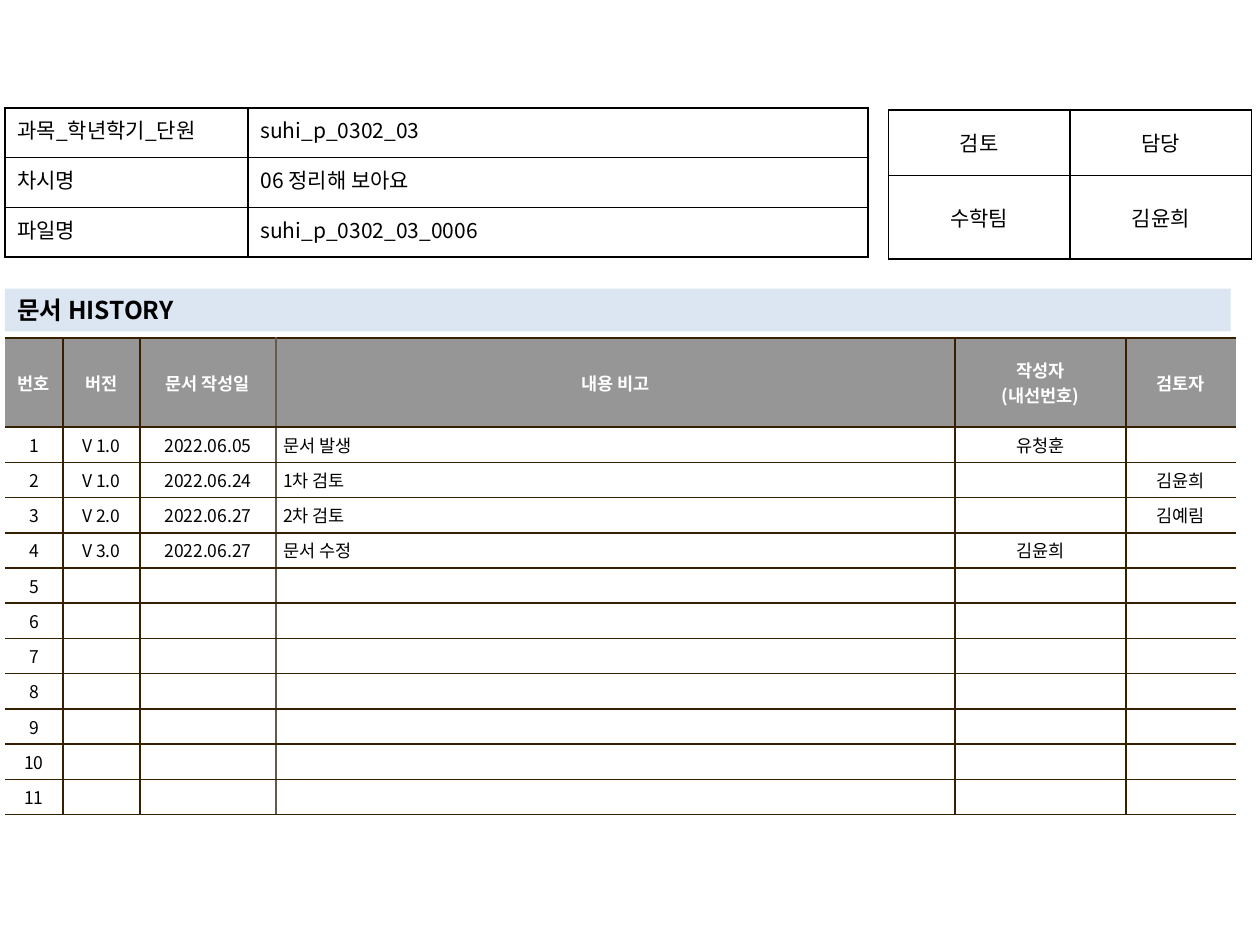
from lxml import etree
from pptx import Presentation
from pptx.dml.color import RGBColor
from pptx.enum.shapes import MSO_SHAPE
from pptx.enum.text import MSO_ANCHOR, PP_ALIGN
from pptx.oxml.ns import qn
from pptx.util import Cm, Pt

RECTANGLE = MSO_SHAPE.RECTANGLE
TOP, MIDDLE = MSO_ANCHOR.TOP, MSO_ANCHOR.MIDDLE
LEFT, CENTER, JUSTIFY = PP_ALIGN.LEFT, PP_ALIGN.CENTER, PP_ALIGN.JUSTIFY

BLACK = RGBColor(0x00, 0x00, 0x00)
WHITE = RGBColor(0xFF, 0xFF, 0xFF)
GRAY = RGBColor(0x96, 0x96, 0x96)
PALE_BLUE = RGBColor(0xDC, 0xE6, 0xF2)
BROWN = RGBColor(0x36, 0x20, 0x00)
LIGHT_BROWN = RGBColor(0x64, 0x5B, 0x4C)
FONT = "Noto Sans CJK KR"


def write_text(text_frame, text, size=12, color=BLACK, bold=False, align=LEFT):
    """Fill a text frame, one paragraph for each line of text."""
    for index, line in enumerate(text.split("\n")):
        paragraph = text_frame.paragraphs[0] if index == 0 else text_frame.add_paragraph()
        paragraph.alignment = align
        if not line:
            # The end mark keeps an empty row from growing
            etree.SubElement(paragraph._p, qn("a:endParaRPr"), sz=str(size * 100))
            continue
        run = paragraph.add_run()
        run.text = line
        font = run.font
        font.size, font.bold, font.name = Pt(size), bold, FONT
        font.color.rgb = color
        etree.SubElement(run._r.get_or_add_rPr(), qn("a:ea"), typeface=FONT)


class SlideBuilder:
    def __init__(self, slide, border_width=Pt(1)):
        self.slide = slide
        self.border_width = border_width

    def bar(self, text, left, top, width, height, fill, **text_format):
        shape = self.slide.shapes.add_shape(
            RECTANGLE, Cm(left), Cm(top), Cm(width), Cm(height))
        shape.shadow.inherit = False
        shape.fill.solid()
        shape.fill.fore_color.rgb = fill
        shape.line.fill.background()
        shape.text_frame.word_wrap = True
        shape.text_frame.vertical_anchor = MIDDLE
        write_text(shape.text_frame, text, **text_format)

    def table(self, left, top, columns, rows):
        """Add a plain table with the given column widths and row heights."""
        frame = self.slide.shapes.add_table(
            len(rows), len(columns), Cm(left), Cm(top), Cm(sum(columns)), Cm(sum(rows)))
        table = frame.table
        table.first_row = table.horz_banding = False
        for column, width in zip(table.columns, columns):
            column.width = Cm(width)
        for row, height in zip(table.rows, rows):
            row.height = Cm(height)
        return table

    def cell(self, cell, text, borders, fill=None, anchor=MIDDLE, margins=(0.25, 0.13),
             **text_format):
        """Style a cell; borders are the left, right, top and bottom colours."""
        cell.margin_left = cell.margin_right = Cm(margins[0])
        cell.margin_top = cell.margin_bottom = Cm(margins[1])
        cell.vertical_anchor = anchor
        properties = cell._tc.get_or_add_tcPr()
        for side, color in zip("LRTB", borders):
            line = etree.SubElement(
                properties, qn(f"a:ln{side}"), w=str(int(self.border_width)))
            if color is None:
                etree.SubElement(line, qn("a:noFill"))
            else:
                solid = etree.SubElement(line, qn("a:solidFill"))
                etree.SubElement(solid, qn("a:srgbClr"), val=str(color))
        if fill is None:
            cell.fill.background()
        else:
            cell.fill.solid()
            cell.fill.fore_color.rgb = fill
        write_text(cell.text_frame, text, **text_format)


def add_history(builder):
    header = ["번호", "버전", "문서 작성일", "내용 비고", "작성자\n(내선번호)", "검토자"]
    entries = [
        ["V 1.0", "2022.06.05", "문서 발생", "유청훈", ""],
        ["V 1.0", "2022.06.24", "1차 검토", "", "김윤희"],
        ["V 2.0", "2022.06.27", "2차 검토", "", "김예림"],
        ["V 3.0", "2022.06.27", "문서 수정", "김윤희", ""],
    ]
    entry_count = 11
    entries += [[""] * 5] * (entry_count - len(entries))
    records = [header] + [[str(number), *entry] for number, entry in enumerate(entries, 1)]

    table = builder.table(0.1, 6.81, [1.17, 1.55, 2.74, 13.69, 3.45, 2.21],
                          [1.8] + [0.71] * entry_count)
    # Vertical rules from left to right; the outer edges stay open
    rules = [None, BROWN, BROWN, LIGHT_BROWN, BROWN, BROWN, None]
    note_column = 3
    for row, record in enumerate(records):
        is_header = row == 0
        for column, text in enumerate(record):
            is_note = column == note_column and not is_header
            builder.cell(
                table.cell(row, column), text,
                borders=(rules[column], rules[column + 1], BROWN, BROWN),
                fill=GRAY if is_header else WHITE, margins=(0.15, 0.1),
                size=10, color=WHITE if is_header else BLACK, bold=is_header,
                align=LEFT if is_note else CENTER)


def add_approval(builder):
    table = builder.table(17.91, 2.22, [3.66, 3.66], [1.32, 1.68])
    for row, record in enumerate([["검토", "담당"], ["수학팀", "김윤희"]]):
        for column, text in enumerate(record):
            builder.cell(table.cell(row, column), text, borders=[BLACK] * 4, align=CENTER)


def add_document_info(builder):
    records = [
        ["과목_학년학기_단원", "suhi_p_0302_03"],
        ["차시명", "06 정리해 보아요"],
        ["파일명", "suhi_p_0302_03_0006"],
    ]
    table = builder.table(0.1, 2.18, [4.9, 12.5], [1] * len(records))
    for row, record in enumerate(records):
        for column, text in enumerate(record):
            builder.cell(table.cell(row, column), text, borders=[BLACK] * 4, anchor=TOP,
                         align=JUSTIFY if column == 0 else LEFT)


def main():
    presentation = Presentation()
    presentation.slide_width, presentation.slide_height = Cm(25.4), Cm(19.05)
    blank_layout = presentation.slide_layouts[6]
    builder = SlideBuilder(presentation.slides.add_slide(blank_layout))

    # Revision history
    add_history(builder)
    # Approval box
    add_approval(builder)
    # Section heading
    builder.bar("문서 HISTORY", 0.1, 5.82, 24.71, 0.86, PALE_BLUE, size=14, bold=True)
    # Document details
    add_document_info(builder)

    presentation.save("out.pptx")


if __name__ == "__main__":
    main()
